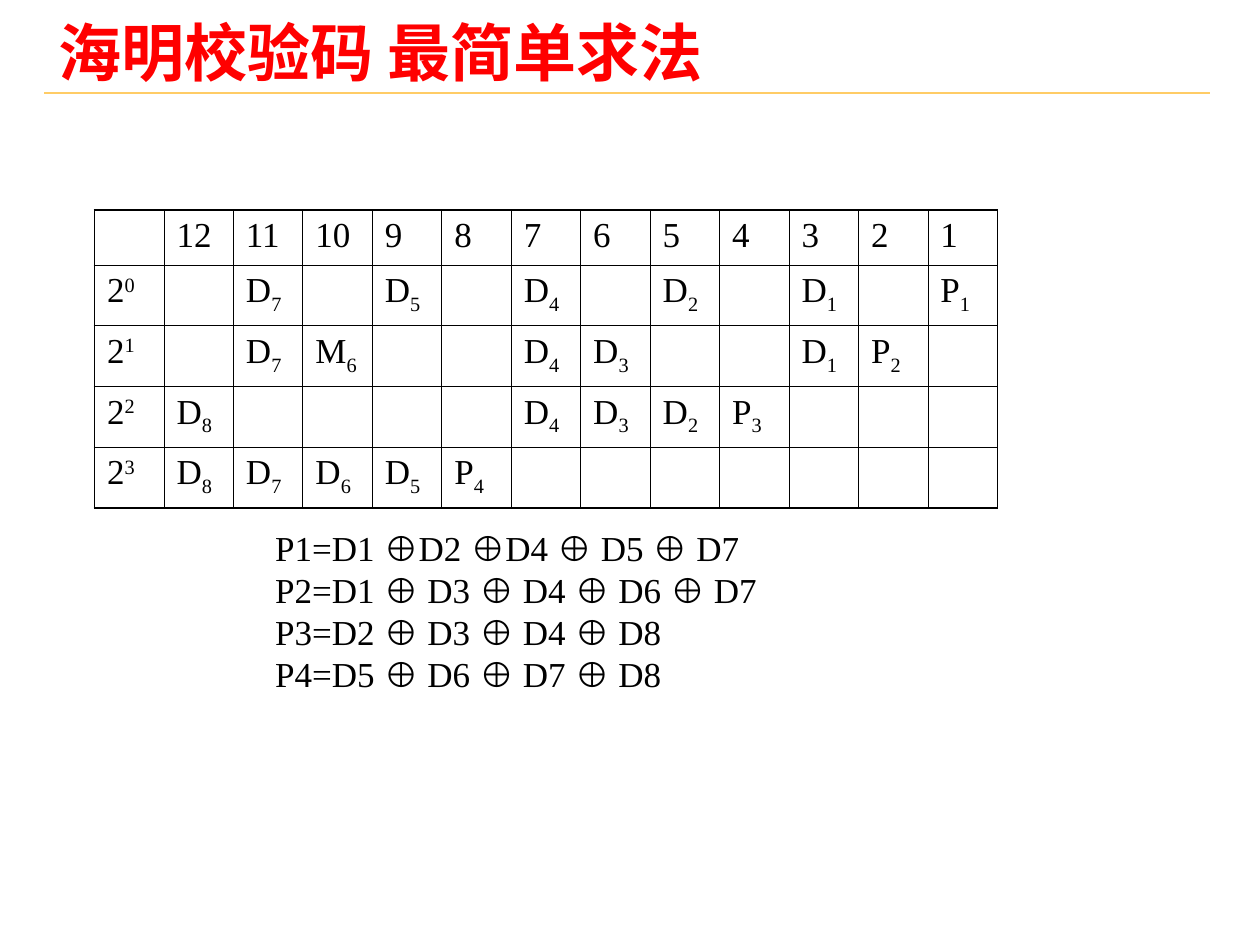
from typing import NamedTuple

from lxml.etree import SubElement
from pptx import Presentation
from pptx.dml.color import RGBColor
from pptx.enum.shapes import MSO_CONNECTOR
from pptx.enum.text import MSO_ANCHOR, MSO_AUTO_SIZE, PP_ALIGN
from pptx.oxml.ns import qn
from pptx.util import Pt

BLACK, RED, GOLD = "000000", "FF0000", "FFCC66"
SERIF, SYMBOL, CHINESE = "Times New Roman", "Arial", "Noto Sans CJK SC"
XOR = "⊕"
POSITIONS = range(12, 0, -1)
COLUMN_WIDTH, HEADER_HEIGHT, ROW_HEIGHT = 39.7, 31.5, 34.7
INNER_BORDER, OUTER_BORDER = 0.45, 1.08


class Box(NamedTuple):
    left: float
    top: float
    width: float
    height: float


class CheckRow(NamedTuple):
    """A power of two and the symbols standing at its bit positions."""
    power: int
    symbols: dict[int, str]


CHECK_ROWS = [
    CheckRow(0, {11: "D7", 9: "D5", 7: "D4", 5: "D2", 3: "D1", 1: "P1"}),
    CheckRow(1, {11: "D7", 10: "M6", 7: "D4", 6: "D3", 3: "D1", 2: "P2"}),
    CheckRow(2, {12: "D8", 7: "D4", 6: "D3", 5: "D2", 4: "P3"}),
    CheckRow(3, {12: "D8", 11: "D7", 10: "D6", 9: "D5", 8: "P4"}),
]
EQUATIONS = [
    "P1=D1 ⊕D2 ⊕D4 ⊕ D5 ⊕ D7",
    "P2=D1 ⊕ D3 ⊕ D4 ⊕ D6 ⊕ D7",
    "P3=D2 ⊕ D3 ⊕ D4 ⊕ D8",
    "P4=D5 ⊕ D6 ⊕ D7 ⊕ D8",
]


def color(value: str) -> RGBColor:
    return RGBColor.from_string(value)


def place(shape, box: Box) -> None:
    shape.left, shape.top, shape.width, shape.height = map(Pt, box)


def set_font(font, name: str, size: float, value: str, bold: bool = False) -> None:
    font.name, font.size, font.bold = name, Pt(size), bold
    font.color.rgb = color(value)


def add_title(page, text: str, box: Box) -> None:
    title = page.shapes.title
    place(title, box)
    frame = title.text_frame
    frame.text = text
    frame.auto_size = MSO_AUTO_SIZE.NONE
    frame.vertical_anchor = MSO_ANCHOR.MIDDLE
    para = frame.paragraphs[0]
    para.alignment = PP_ALIGN.LEFT
    set_font(para.font, CHINESE, 36, RED, bold=True)
    span_properties = para.runs[0].font
    span_properties.language_id = None
    east_asian = SubElement(para.runs[0]._r.get_or_add_rPr(), qn("a:ea"))
    east_asian.set("typeface", CHINESE)


def add_rule(page, left: float, right: float, top: float) -> None:
    rule = page.shapes.add_connector(
        MSO_CONNECTOR.STRAIGHT, Pt(left), Pt(top), Pt(right), Pt(top))
    rule.line.color.rgb = color(GOLD)
    rule.line.width = Pt(1)
    SubElement(rule._element.spPr, qn("a:effectLst"))


def add_equations(page, equations: list[str], box: Box) -> None:
    body = page.placeholders[1]
    place(body, box)
    frame = body.text_frame
    frame.auto_size = MSO_AUTO_SIZE.NONE
    for index, equation in enumerate(equations):
        para = frame.add_paragraph() if index else frame.paragraphs[0]
        para.space_before = Pt(0)
        properties = para._p.get_or_add_pPr()
        properties.set("marL", str(Pt(96)))
        properties.set("indent", "0")
        SubElement(properties, qn("a:buNone"))
        set_font(para.font, SERIF, 20, BLACK)
        for part, term in enumerate(equation.split(XOR)):
            if part:
                operator = para.add_run()
                operator.text = XOR
                operator.font.name = SYMBOL
            para.add_run().text = term


def set_borders(cell, widths: dict[str, float]) -> None:
    properties = cell._tc.get_or_add_tcPr()
    for side, width in widths.items():
        border = SubElement(properties, qn(f"a:ln{side}"), w=str(Pt(width)))
        fill = SubElement(border, qn("a:solidFill"))
        SubElement(fill, qn("a:srgbClr"), val=BLACK)


def write_cell(cell, text: str, shift: int = 0) -> None:
    """Write text; a shift raises or lowers all after its first character."""
    para = cell.text_frame.paragraphs[0]
    set_font(para.font, SERIF, 20, BLACK)
    if not shift:
        para.add_run().text = text
        return
    para.add_run().text = text[0]
    script = para.add_run()
    script.text = text[1:]
    script.font._element.set("baseline", str(shift * 1000))


def add_check_table(page, rows: list[CheckRow], left: float, top: float) -> None:
    row_count, column_count = len(rows) + 1, len(POSITIONS) + 1
    height = HEADER_HEIGHT + ROW_HEIGHT * len(rows)
    table = page.shapes.add_table(
        row_count, column_count, Pt(left), Pt(top),
        Pt(COLUMN_WIDTH * column_count), Pt(height)).table
    table.first_row = table.horz_banding = False
    for column in table.columns:
        column.width = Pt(COLUMN_WIDTH)
    for index, table_row in enumerate(table.rows):
        table_row.height = Pt(ROW_HEIGHT if index else HEADER_HEIGHT)
        for column_index, cell in enumerate(table_row.cells):
            on_edge = {"L": column_index == 0,
                       "R": column_index == column_count - 1,
                       "T": index == 0,
                       "B": index == row_count - 1}
            set_borders(cell, {side: OUTER_BORDER if outer else INNER_BORDER
                               for side, outer in on_edge.items()})
            cell.fill.background()
    for column_index, position in enumerate(POSITIONS, start=1):
        write_cell(table.cell(0, column_index), str(position))
    for index, row in enumerate(rows, start=1):
        write_cell(table.cell(index, 0), f"2{row.power}", shift=30)
        for position, symbol in row.symbols.items():
            column_index = column_count - position
            write_cell(table.cell(index, column_index), symbol, shift=-25)


def main() -> None:
    deck = Presentation()
    deck.slide_width, deck.slide_height = Pt(720), Pt(540)
    page = deck.slides.add_slide(deck.slide_layouts[1])
    add_rule(page, left=25.2, right=691.2, top=53.3)
    add_equations(page, EQUATIONS, Box(54, 297.4, 612, 170.6))
    add_check_table(page, CHECK_ROWS, left=54, top=120)
    add_title(page, "海明校验码 最简单求法", Box(26, 4.3, 396, 50.4))
    deck.save("out.pptx")


if __name__ == "__main__":
    main()
